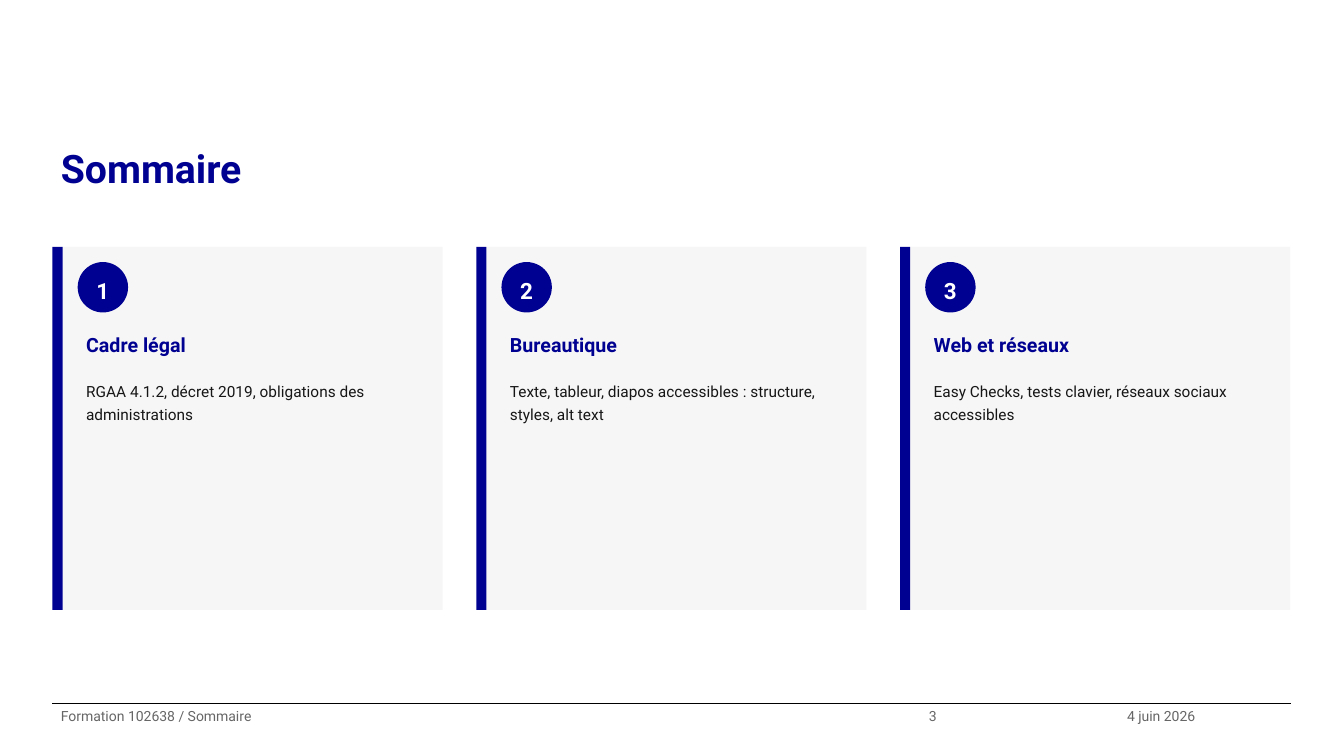
import pptx
import pptx.dml.color
import pptx.enum.shapes
import pptx.enum.text
import pptx.oxml
import pptx.util

Pt = pptx.util.Pt
SHAPE = pptx.enum.shapes.MSO_SHAPE
ANCHOR = pptx.enum.text.MSO_ANCHOR
ALIGN = pptx.enum.text.PP_ALIGN
COLORS = {
    "blue": "000091",
    "card": "F6F6F6",
    "text": "161616",
    "grey": "666666",
    "white": "FFFFFF",
    "black": "000000",
}


def rgb(name):
    return pptx.dml.color.RGBColor.from_string(COLORS[name])


def write(shape, words, size, color, bold=False, pad=3.6,
          align=ALIGN.LEFT, anchor=ANCHOR.TOP):
    frame = shape.text_frame
    frame.word_wrap = True
    frame.auto_size = pptx.enum.text.MSO_AUTO_SIZE.NONE
    frame.vertical_anchor = anchor
    frame.margin_left = frame.margin_right = Pt(6)
    frame.margin_top = frame.margin_bottom = Pt(pad)
    paragraph = frame.paragraphs[0]
    paragraph.alignment = align
    paragraph.line_spacing = 1.25
    run = paragraph.add_run()
    run.text = words
    run.font.name = "Roboto"
    run.font.size = Pt(size)
    run.font.bold = bold
    run.font.color.rgb = rgb(color)


prs = pptx.Presentation()
prs.slide_width, prs.slide_height = Pt(960), Pt(540)
slide = prs.slides.add_slide(prs.slide_layouts[5])
shapes = slide.shapes

# Title
title = shapes.title
title.left, title.top, title.width, title.height = Pt(37.5), Pt(94.5), Pt(884.5), Pt(75.5)
write(title, "Sommaire", 28, "blue", bold=True, pad=0)

# Numbered chapter cards
chapters = [
    ("Cadre légal", "RGAA 4.1.2, décret 2019, obligations des administrations"),
    ("Bureautique", "Texte, tableur, diapos accessibles : structure, styles, alt text"),
    ("Web et réseaux", "Easy Checks, tests clavier, réseaux sociaux accessibles"),
]
CARD_TOP, CARD_PITCH, BAR_WIDTH = 176.4, 302.7, 7.2

for index, (heading, summary) in enumerate(chapters):
    bar_left = 37.5 + index * CARD_PITCH
    card_left = bar_left + BAR_WIDTH
    inner_left = card_left + 10.8

    parts = [
        (SHAPE.RECTANGLE, card_left, CARD_TOP, 271.5, 259.2, "card"),
        (SHAPE.RECTANGLE, bar_left, CARD_TOP, BAR_WIDTH, 259.2, "blue"),
        (SHAPE.OVAL, inner_left, CARD_TOP + 10.8, 36, 36, "blue"),
    ]
    for kind, left, top, width, height, color in parts:
        badge = shapes.add_shape(kind, Pt(left), Pt(top), Pt(width), Pt(height))
        badge.shadow.inherit = False
        badge.fill.solid()
        badge.fill.fore_color.rgb = rgb(color)
        badge.line.fill.background()
    # The number goes in the last part, the circle
    write(badge, str(index + 1), 16, "white", bold=True,
          align=ALIGN.CENTER, anchor=ANCHOR.MIDDLE)

    heading_box = shapes.add_textbox(Pt(inner_left), Pt(230.4), Pt(250), Pt(32.4))
    write(heading_box, heading, 14, "blue", bold=True)
    summary_box = shapes.add_textbox(Pt(inner_left), Pt(266.4), Pt(250), Pt(158.4))
    write(summary_box, summary, 11, "text")

# Footer rule
FOOTER_TOP = 502.5
rule = shapes.add_connector(pptx.enum.shapes.MSO_CONNECTOR.STRAIGHT,
                            Pt(37.5), Pt(FOOTER_TOP), Pt(922), Pt(FOOTER_TOP))
rule.line.color.rgb = rgb("black")
rule.line.width = Pt(0.8)
properties = rule._element.spPr
properties.append(properties.makeelement(pptx.oxml.ns.qn("a:effectLst"), {}))

# Footer texts
for words, left, width in [
    ("Formation 102638 / Sommaire", 37.5, 620),
    ("3", 657.5, 141.5),
    ("4 juin 2026", 799, 123),
]:
    footer = shapes.add_textbox(Pt(left), Pt(FOOTER_TOP), Pt(width), Pt(37.5))
    write(footer, words, 10, "grey", pad=0)

prs.save("out.pptx")
